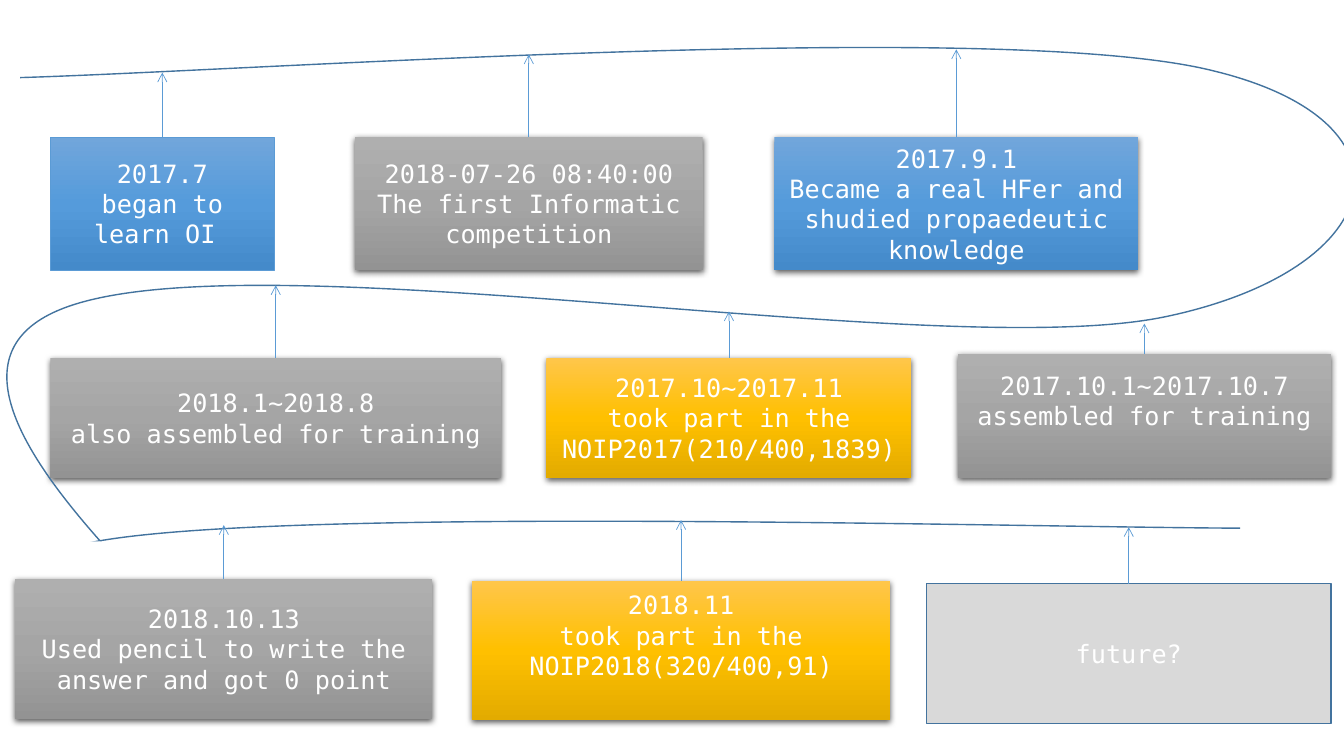
from dataclasses import dataclass
from typing import Optional

from pptx import Presentation
from pptx.dml.color import RGBColor
from pptx.enum.shapes import MSO_CONNECTOR, MSO_SHAPE
from pptx.enum.text import MSO_ANCHOR, PP_ALIGN
from pptx.oxml import parse_xml
from pptx.oxml.ns import nsdecls
from pptx.util import Emu, Inches, Pt

RECTANGLE = MSO_SHAPE.RECTANGLE
STRAIGHT = MSO_CONNECTOR.STRAIGHT
MIDDLE = MSO_ANCHOR.MIDDLE
CENTER = PP_ALIGN.CENTER

SLIDE_W, SLIDE_H = Inches(13.33), Inches(7.5)
COL, ROW = SLIDE_W / 133.3, SLIDE_H / 75


@dataclass(frozen=True)
class Theme:
    font: str = "DejaVu Sans Mono"
    size: float = 18
    text: str = "FFFFFF"
    arrow: str = "5B9BD5"
    path_line: str = "43739E"
    thin: float = 0.5
    medium: float = 1
    blue: tuple[str, ...] = ("71A6DB", "559BDB", "448ACA")
    gray: tuple[str, ...] = ("AFAFAF", "A5A5A5", "939393")
    gold: tuple[str, ...] = ("FFC64B", "FFC000", "E3AB00")
    pale: tuple[str, ...] = ("D9D9D9",)
    paper: tuple[str, ...] = ("FFFFFF",)


THEME = Theme()


@dataclass(frozen=True)
class Box:
    """A place in columns and rows."""
    col: float
    row: float
    cols: float
    rows: float


@dataclass(frozen=True)
class Event(Box):
    """A card, with the row its arrow points to."""
    tip: float
    fill: tuple[str, ...]
    lines: tuple[str, ...]
    outline: Optional[tuple[str, float]] = None
    raised: bool = False


EVENTS = [
    Event(5, 13.6, 22.2, 13.2, 7.2, THEME.blue,
          ("2017.7", "began to learn OI "), (THEME.arrow, THEME.thin)),
    Event(35.2, 13.6, 34.5, 13.2, 5.4, THEME.gray,
          ("2018-07-26 08:40:00", "The first Informatic competition")),
    Event(76.8, 13.6, 36.1, 13.2, 4.9, THEME.blue,
          ("2017.9.1", "Became a real HFer and shudied propaedeutic knowledge")),
    Event(54.2, 35.5, 36.2, 11.9, 30.9, THEME.gold,
          ("2017.10~2017.11", "took part in the NOIP2017(210/400,1839)")),
    Event(95, 35.1, 37, 12.3, 32.1, THEME.gray,
          ("2017.10.1~2017.10.7", "assembled for training"), raised=True),
    Event(5, 35.5, 44.7, 11.9, 28.3, THEME.gray,
          ("2018.1~2018.8", "also assembled for training")),
    Event(46.8, 57.6, 41.5, 13.8, 51.6, THEME.gold,
          ("2018.11", "took part in the NOIP2018(320/400,91)"), raised=True),
    Event(91.9, 57.9, 40.1, 13.9, 52.3, THEME.pale,
          ("future?",), (THEME.path_line, THEME.medium)),
]
PENCIL_EVENT = Event(1.5, 57.4, 41.4, 13.9, 52.1, THEME.gray,
                     ("2018.10.13", "Used pencil to write the answer and got 0 point"))
TURN_COVER = Box(3.7, 53.7, 27.5, 17.2)

# Start point, then two handles and an end point for each bend
TIMELINE_FRAME = Box(0.7, 4.7, 133.7, 65.1)
TIMELINE = [
    (2, 7.7),
    (25.4, 7), (96.1, 2), (118.9, 6.7),
    (141.6, 11.5), (138.3, 26.6), (115.7, 31.4),
    (93.1, 36.2), (24.4, 23.2), (6, 30.7),
    (-12.4, 38.2), (22.8, 64.4), (23.6, 69),
    (24.5, 73.6), (-9.7, 56.9), (10.2, 53.6),
    (30.1, 50.3), (100.2, 52.3), (123, 52.4),
]


def x(cols: float) -> Emu:
    return Emu(round(cols * COL))


def y(rows: float) -> Emu:
    return Emu(round(rows * ROW))


def set_line(line, color: str, width: float) -> None:
    line.color.rgb = RGBColor.from_string(color)
    line.width = Pt(width)


def set_fill(sp, colors: tuple[str, ...]) -> None:
    """Solid for one colour, otherwise an even top-to-bottom gradient."""
    if len(colors) == 1:
        sp.fill.solid()
        sp.fill.fore_color.rgb = RGBColor.from_string(colors[0])
        return
    step = 100000 // (len(colors) - 1)
    stops = "".join(f'<a:gs pos="{i * step}"><a:srgbClr val="{c}"/></a:gs>'
                    for i, c in enumerate(colors))
    sp.fill.background()
    props = sp._element.spPr
    props.replace(props.find("{*}noFill"), parse_xml(
        f'<a:gradFill {nsdecls("a")} rotWithShape="1"><a:gsLst>{stops}</a:gsLst>'
        '<a:lin ang="5400000" scaled="0"/></a:gradFill>'))


def add_shadow(sp) -> None:
    sp._element.spPr.find("{*}effectLst").append(parse_xml(
        f'<a:outerShdw {nsdecls("a")} blurRad="57150" dist="19050" dir="5400000" '
        'algn="ctr" rotWithShape="0"><a:srgbClr val="000000">'
        '<a:alpha val="63000"/></a:srgbClr></a:outerShdw>'))


def add_box(slide, box: Box, fill: tuple[str, ...]):
    sp = slide.shapes.add_shape(RECTANGLE, x(box.col), y(box.row),
                                x(box.cols), y(box.rows))
    set_fill(sp, fill)
    sp.line.fill.background()
    sp.shadow.inherit = False
    return sp


def add_card(slide, event: Event) -> None:
    sp = add_box(slide, event, event.fill)
    if event.outline:
        set_line(sp.line, *event.outline)
    else:
        add_shadow(sp)

    tf = sp.text_frame
    frame_format = {"word_wrap": True, "vertical_anchor": MIDDLE,
                    "margin_bottom": y(3.5 if event.raised else 0.5)}
    for name, value in frame_format.items():
        setattr(tf, name, value)
    for i, line in enumerate(event.lines):
        p = tf.add_paragraph() if i else tf.paragraphs[0]
        p.alignment = CENTER
        r = p.add_run()
        r.text = line
        for name, value in {"name": THEME.font, "size": Pt(THEME.size)}.items():
            setattr(r.font, name, value)
        r.font.color.rgb = RGBColor.from_string(THEME.text)


def add_arrow(slide, event: Event) -> None:
    middle = x(event.col + event.cols / 2)
    line = slide.shapes.add_connector(STRAIGHT, middle, y(event.row),
                                      middle, y(event.tip))
    set_line(line.line, THEME.arrow, THEME.thin)
    line.line._get_or_add_ln().append(
        parse_xml(f'<a:tailEnd {nsdecls("a")} type="arrow"/>'))
    line._element.spPr.append(parse_xml(f'<a:effectLst {nsdecls("a")}/>'))


def add_timeline(slide) -> None:
    """Size a freeform by its frame, then give it the curved outline."""
    frame = TIMELINE_FRAME
    builder = slide.shapes.build_freeform(x(frame.col), y(frame.row))
    builder.add_line_segments(
        [(x(frame.col + frame.cols), y(frame.row + frame.rows))], close=False)
    sp = builder.convert_to_shape()

    points = [f'<a:pt x="{x(c - frame.col)}" y="{y(r - frame.row)}"/>'
              for c, r in TIMELINE]
    outline = next(sp._element.iter("{*}path"))
    for segment in list(outline):
        outline.remove(segment)
    outline.append(parse_xml(f'<a:moveTo {nsdecls("a")}>{points[0]}</a:moveTo>'))
    for i in range(1, len(points), 3):
        outline.append(parse_xml(f'<a:cubicBezTo {nsdecls("a")}>'
                                 f'{"".join(points[i:i + 3])}</a:cubicBezTo>'))

    sp.fill.background()
    sp.shadow.inherit = False
    set_line(sp.line, THEME.path_line, THEME.medium)


def main() -> None:
    prs = Presentation()
    prs.slide_width, prs.slide_height = SLIDE_W, SLIDE_H
    slide = prs.slides.add_slide(prs.slide_layouts[6])
    for event in EVENTS:
        add_card(slide, event)
    add_timeline(slide)
    add_box(slide, TURN_COVER, THEME.paper)
    add_card(slide, PENCIL_EVENT)
    for event in [*EVENTS, PENCIL_EVENT]:
        add_arrow(slide, event)
    prs.save("out.pptx")


if __name__ == "__main__":
    main()
